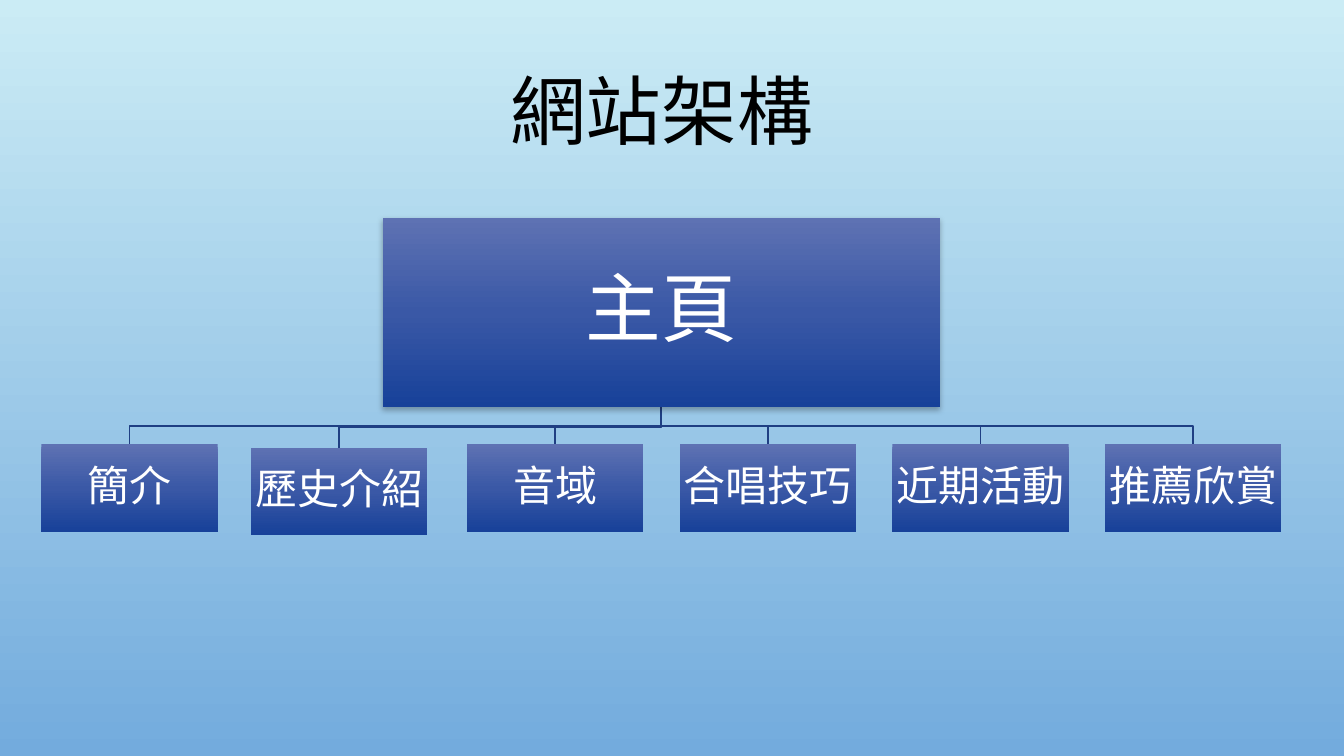
from copy import deepcopy

from lxml import etree
from pptx import Presentation
from pptx.dml.color import RGBColor
from pptx.enum.shapes import MSO_SHAPE
from pptx.enum.text import MSO_ANCHOR, MSO_AUTO_SIZE, PP_ALIGN
from pptx.oxml.ns import qn
from pptx.util import Inches, Pt

RECTANGLE = MSO_SHAPE.RECTANGLE
CENTER = PP_ALIGN.CENTER
TOP, MIDDLE = MSO_ANCHOR.TOP, MSO_ANCHOR.MIDDLE
GROW = MSO_AUTO_SIZE.SHAPE_TO_FIT_TEXT

FONT = "Noto Sans CJK JP"
COLORS = {
    "sky_top": "CBECF5", "sky_bottom": "73ABDD",
    "box_top": "5E72B3", "box_middle": "3A58A6", "box_bottom": "174199",
    "branch": "1F3F83", "box_text": "FFFFFF", "title": "000000", "shadow": "000000",
}
TITLE = "網站架構"
HOME = "主頁"
SECTIONS = ["簡介", "歷史介紹", "音域", "合唱技巧", "近期活動", "推薦欣賞"]
NUDGES = {"歷史介紹": (-0.03, 0.03)}

TRUNK_X = 6.56
HOME_TOP, HOME_WIDTH, HOME_HEIGHT = 2.16, 5.53, 1.88
HOME_BOTTOM = HOME_TOP + HOME_HEIGHT
SECTION_WIDTH, SECTION_HEIGHT, SECTION_GAP = 1.75, 0.87, 0.36
SECTION_TOP = HOME_BOTTOM + 0.37
PITCH = SECTION_WIDTH + SECTION_GAP


def rgb(name):
    return RGBColor.from_string(COLORS[name])


def fill_downward(fill, *names):
    fill.gradient()
    fill.gradient_angle = 270
    first = fill._fill._gradFill.find(qn("a:gsLst"))[0]
    for _ in names[2:]:
        first.addnext(deepcopy(first))
    for index, (stop, name) in enumerate(zip(fill.gradient_stops, names)):
        stop.color.rgb = rgb(name)
        stop.position = index / (len(names) - 1)


def write(frame, words, size, color):
    paragraph = frame.paragraphs[0]
    paragraph.text = words
    paragraph.alignment = CENTER
    font = paragraph.font
    font.size = Pt(size)
    font.color.rgb = rgb(color)
    font.name = FONT
    properties = paragraph._p.pPr.find(qn("a:defRPr"))
    etree.SubElement(properties, qn("a:ea"), typeface=FONT)
    return paragraph


def add_title(slide):
    title = slide.shapes.title
    width = 3.23
    title.left, title.top = Inches(TRUNK_X - width / 2), Inches(0.58)
    title.width, title.height = Inches(width), Inches(1.01)
    frame = title.text_frame
    frame.word_wrap = False
    frame.auto_size = GROW
    frame.vertical_anchor = TOP
    write(frame, TITLE, 54, "title")


def add_box(slide, words, center, top, width, height, size, inset):
    box = slide.shapes.add_shape(
        RECTANGLE, Inches(center - width / 2), Inches(top), Inches(width), Inches(height))
    box.shadow.inherit = False
    fill_downward(box.fill, "box_top", "box_middle", "box_bottom")
    box.line.fill.background()
    frame = box.text_frame
    frame.word_wrap = True
    frame.vertical_anchor = MIDDLE
    frame.margin_left = frame.margin_right = Inches(inset)
    frame.margin_top = frame.margin_bottom = Inches(inset)
    write(frame, words, size, "box_text").line_spacing = 0.9
    return box


def add_shadow(box):
    effects = box._element.spPr.find(qn("a:effectLst"))
    shadow = etree.SubElement(
        effects, qn("a:outerShdw"), blurRad=str(Pt(4)), dist=str(Pt(2)),
        dir="5400000", rotWithShape="0")
    color = etree.SubElement(shadow, qn("a:srgbClr"), val=COLORS["shadow"])
    etree.SubElement(color, qn("a:alpha"), val="28000")


def add_branch(slide, center, top):
    bend = (HOME_BOTTOM + top) / 2
    turns = [(TRUNK_X, bend), (center, bend), (center, top)]
    builder = slide.shapes.build_freeform(Inches(TRUNK_X), Inches(HOME_BOTTOM))
    builder.add_line_segments([(Inches(x), Inches(y)) for x, y in turns], close=False)
    branch = builder.convert_to_shape()
    branch.shadow.inherit = False
    branch.fill.background()
    branch.line.color.rgb = rgb("branch")
    branch.line.width = Pt(1.25)


def place_sections():
    middle = (len(SECTIONS) - 1) / 2
    for column, words in enumerate(SECTIONS):
        right, down = NUDGES.get(words, (0, 0))
        yield words, TRUNK_X + (column - middle) * PITCH + right, SECTION_TOP + down


def main():
    deck = Presentation()
    deck.slide_width, deck.slide_height = Inches(13.33), Inches(7.5)
    slide = deck.slides.add_slide(deck.slide_layouts[5])
    fill_downward(slide.background.fill, "sky_top", "sky_bottom")
    add_title(slide)

    sections = list(place_sections())
    for _, center, top in reversed(sections):
        add_branch(slide, center, top)
    home = add_box(slide, HOME, TRUNK_X, HOME_TOP, HOME_WIDTH, HOME_HEIGHT, 54, 0.04)
    add_shadow(home)
    for words, center, top in sections:
        add_box(slide, words, center, top, SECTION_WIDTH, SECTION_HEIGHT, 30, 0.02)
    deck.save("out.pptx")


main()
